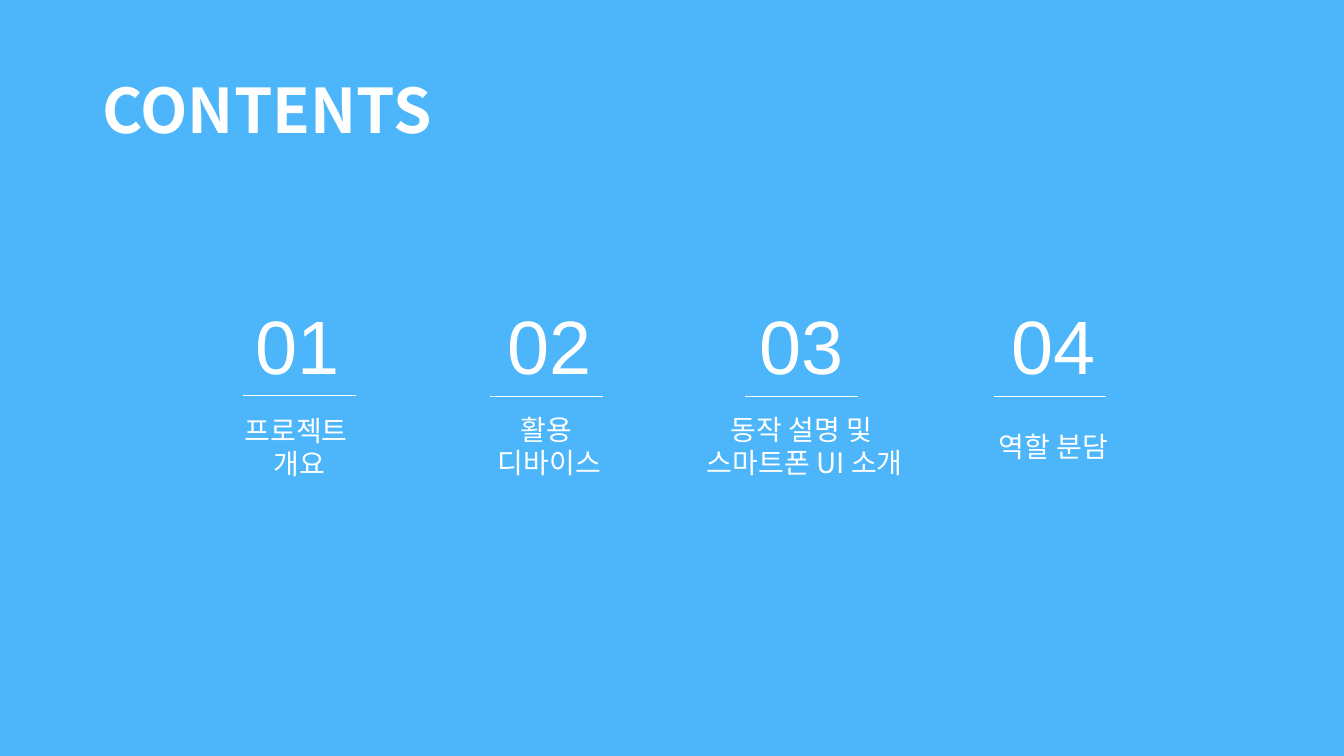
"""Build the contents slide with four numbered sections."""
from lxml import etree
from pptx import Presentation
from pptx.dml.color import RGBColor
from pptx.enum import shapes, text
from pptx.oxml import ns
from pptx.util import Pt

WHITE = "FFFFFF"
SKY = "4DB6FB"
KOREAN = "Noto Sans CJK KR"
WIDTH, HEIGHT = 960, 540
NUMBER_LEFT, NUMBER_STEP = 174.2, 180
RULE_WIDTH = 80.6

SECTIONS = [
    ("프로젝트 \n개요", (148.3, 291.6, 131, 55.4), (173.5, 282.2)),
    ("활용 \n디바이스", (326.9, 290.9, 131, 55.4), (349.9, 283)),
    ("동작 설명 및 \n스마트폰 UI 소개", (486.7, 290.9, 176.4, 55.4), (532.1, 283)),
    ("역할 분담", (686.9, 303.1, 131, 31.7), (709.7, 283)),
]


def color(hex_code):
    """Return the colour for a hex string."""
    return RGBColor.from_string(hex_code)


def write(frame, words, size, face, align, bold=False):
    """Set the text of a frame and format every run, East Asian font included."""
    frame.text = words
    for paragraph in frame.paragraphs:
        paragraph.alignment = align
        for run in paragraph.runs:
            font = run.font
            font.size, font.bold, font.name = Pt(size), bold, face
            font.color.rgb = color(WHITE)
            east_asian = etree.SubElement(run._r.get_or_add_rPr(), ns.qn("a:ea"))
            east_asian.set("typeface", face)


def add_backdrop(slide):
    """Cover the slide with the sky colour, behind the title."""
    backdrop = slide.shapes.add_shape(
        shapes.MSO_SHAPE.RECTANGLE, 0, 0, Pt(WIDTH), Pt(HEIGHT))
    backdrop.shadow.inherit = False
    backdrop.fill.solid()
    backdrop.fill.fore_color.rgb = color(SKY)
    backdrop.line.fill.background()
    slide.shapes.title.element.addprevious(backdrop.element)


def set_title(slide, words):
    """Place and format the title placeholder."""
    title = slide.shapes.title
    title.left, title.top, title.width, title.height = map(Pt, (66, 28.8, 828, 104.4))
    frame = title.text_frame
    frame.auto_size = text.MSO_AUTO_SIZE.NONE
    frame.vertical_anchor = text.MSO_ANCHOR.MIDDLE
    write(frame, words, 44, KOREAN, text.PP_ALIGN.LEFT, bold=True)
    frame.paragraphs[0].line_spacing = 0.9


def add_label(slide, words, box, size, face):
    """Add a centred text box."""
    frame = slide.shapes.add_textbox(*map(Pt, box)).text_frame
    frame.word_wrap = True
    frame.auto_size = text.MSO_AUTO_SIZE.SHAPE_TO_FIT_TEXT
    write(frame, words, size, face, text.PP_ALIGN.CENTER)


def add_rule(slide, left, top):
    """Add a thin horizontal line under a section number."""
    rule = slide.shapes.add_connector(
        shapes.MSO_CONNECTOR.STRAIGHT, Pt(left), Pt(top), Pt(left + RULE_WIDTH), Pt(top))
    rule.line.color.rgb = color(WHITE)
    rule.line.width = Pt(0.5)
    etree.SubElement(rule.element.spPr, ns.qn("a:effectLst"))


def main():
    """Build and save the slide."""
    deck = Presentation()
    deck.slide_width, deck.slide_height = Pt(WIDTH), Pt(HEIGHT)
    slide = deck.slides.add_slide(deck.slide_layouts.get_by_name("Title Only"))
    add_backdrop(slide)
    set_title(slide, "CONTENTS")
    for index, (topic, topic_box, rule_start) in enumerate(SECTIONS):
        number_box = (NUMBER_LEFT + index * NUMBER_STEP, 210.2, 76.3, 72.7)
        add_label(slide, f"{index + 1:02}", number_box, 54, "Arial")
        add_rule(slide, *rule_start)
        add_label(slide, topic, topic_box, 20, KOREAN)
    deck.save("out.pptx")


if __name__ == "__main__":
    main()
